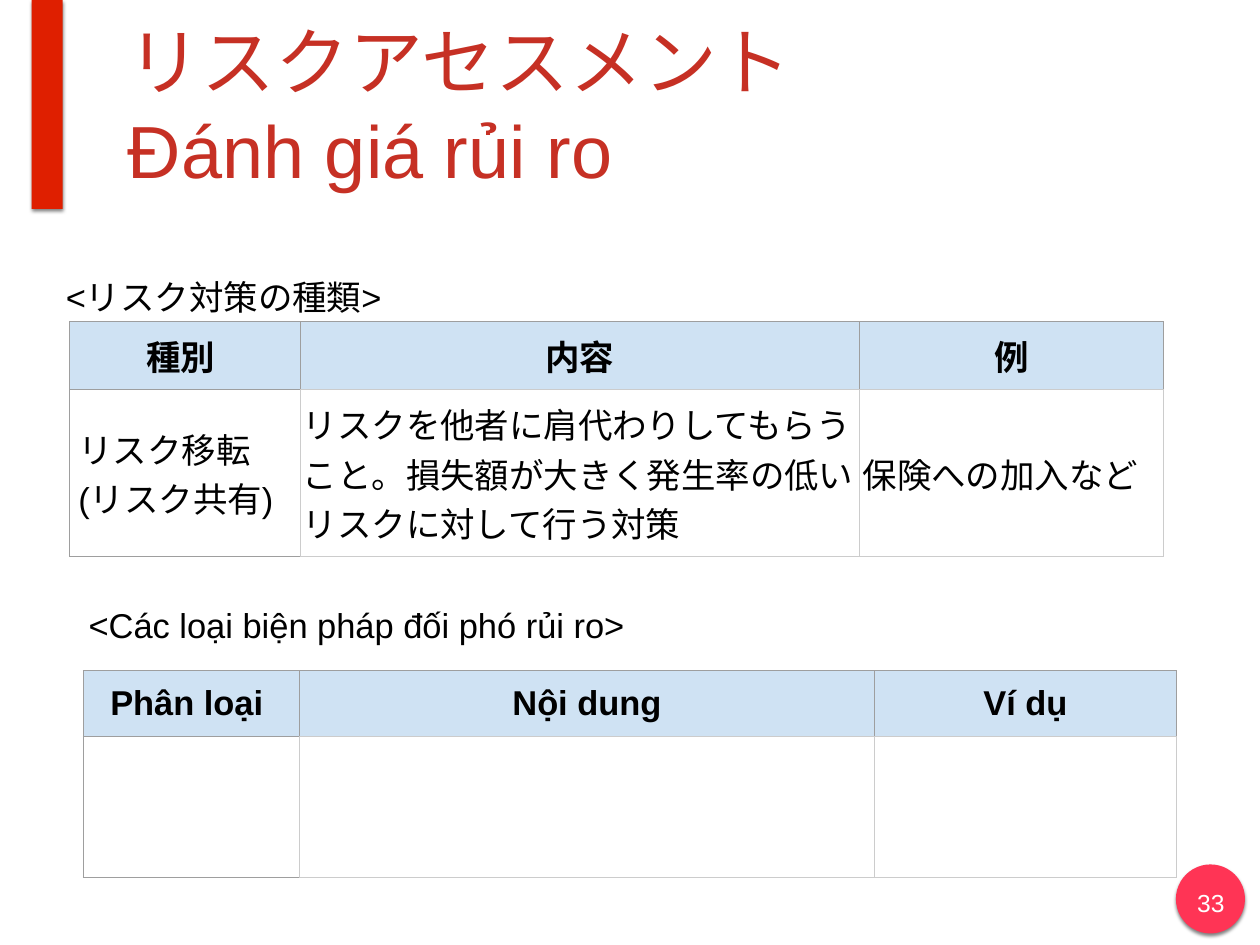
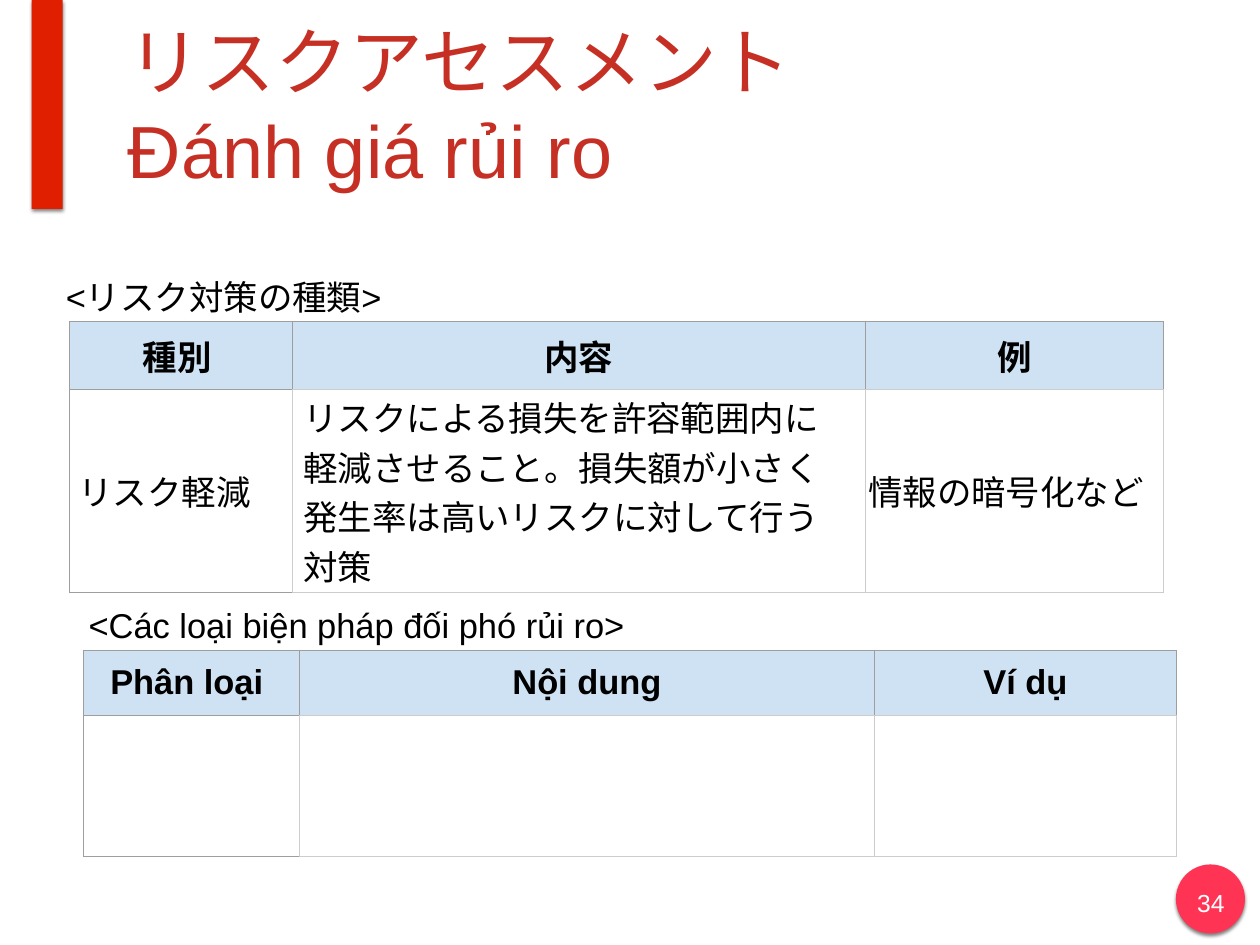
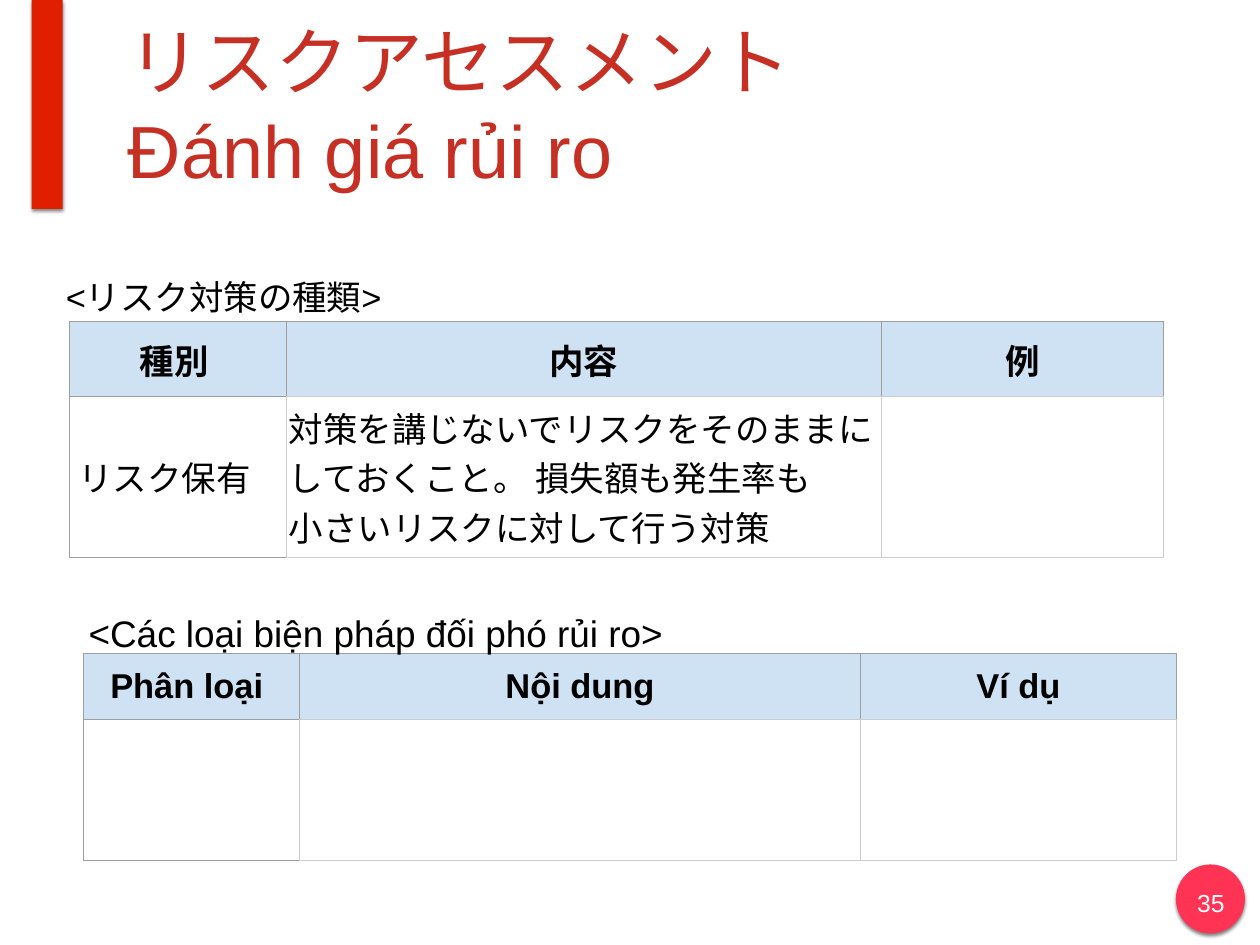
from dataclasses import dataclass
from typing import Any

from lxml.etree import SubElement
from pptx import Presentation
from pptx.dml.color import RGBColor
from pptx.enum.shapes import MSO_SHAPE
from pptx.enum.text import MSO_ANCHOR, PP_ALIGN
from pptx.oxml.ns import qn
from pptx.util import Cm, Pt


@dataclass(frozen=True)
class Theme:
    font: str = "Arial"
    kanji: str = "Noto Sans CJK JP"
    title: str = "C63024"
    band: str = "DF1F00"
    badge: str = "FF3455"
    head: str = "CFE2F3"
    dark: str = "9E9E9E"
    pale: str = "CCCCCC"
    ink: str = "000000"
    white: str = "FFFFFF"
    big: float = 60
    body: float = 28
    note: float = 30
    small: float = 20


@dataclass(frozen=True)
class Box:
    left: float
    top: float
    width: float
    height: float

    def cm(self) -> list[Cm]:
        return [Cm(n) for n in (self.left, self.top, self.width, self.height)]


@dataclass(frozen=True)
class Grid:
    left: float
    top: float
    cols: tuple[float, float]
    rows: tuple[float, float]
    heads: tuple[str, str, str]
    cells: tuple[str, str, str] = ("", "", "")
    indent: float = 0.08  # left margin of the middle body cell


THEME = Theme()


@dataclass(frozen=True)
class Page:
    number: int
    upper: Grid
    lower: Grid
    note_top: float = 16.99
    note_size: float = THEME.body


WIDE = 31.34
HEADS_JA = ("種別 ", "内容", "例")
HEADS_VI = ("Phân loại ", "Nội dung", "Ví dụ")
LOW_ROWS = (1.88, 4.04)
BAND = Box(0.91, 0, 0.89, 5.99)
BADGE = Box(33.71, 24.79, 1.98, 1.98)
TITLE = Box(3.52, 0.3, 30.84, 5.38)
NUMBER = Box(34.09, 25.32, 1.24, 0.99)

PAGES = (
    Page(33,
         Grid(2, 9.22, (6.6, 16.05), (1.95, 4.79), HEADS_JA,
              ("リスク移転\n(リスク共有)",
               "リスクを他者に肩代わりしてもらうこと。損失額が大きく発生率の低いリスクに対して行う対策",
               "保険への加入など")),
         Grid(2.39, 19.23, (6.2, 16.47), LOW_ROWS, HEADS_VI)),
    Page(34,
         Grid(2, 9.22, (6.38, 16.43), (1.95, 5.82), HEADS_JA,
              ("リスク軽減",
               "リスクによる損失を許容範囲内に\n軽減させること。損失額が小さく\n"
               "発生率は高いリスクに対して行う\n対策",
               "情報の暗号化など"), indent=0.32),
         Grid(2.39, 18.64, (6.2, 16.47), LOW_ROWS, HEADS_VI)),
    Page(35,
         Grid(2, 9.22, (6.2, 17.07), (2.16, 4.6), HEADS_JA,
              ("リスク保有",
               "対策を講じないでリスクをそのままにしておくこと。 損失額も発生率も\n"
               "小さいリスクに対して行う対策", "")),
         Grid(2.39, 18.75, (6.2, 16.07), LOW_ROWS, HEADS_VI),
         note_top=17.18, note_size=THEME.note),
)


def apply(item: Any, form: dict[str, Any]) -> None:
    for name, value in form.items():
        setattr(item, name, value)


def pads(left: float, right: float, top: float) -> dict[str, Cm]:
    return {"margin_left": Cm(left), "margin_right": Cm(right),
            "margin_top": Cm(top), "margin_bottom": Cm(top)}


def write(frame: Any, text: str, size: float, color: str, bold: bool = False,
          **form: Any) -> None:
    """Fill a frame, one paragraph a line; a vertical tab breaks a line."""
    frame.text = text
    for para in frame.paragraphs:
        apply(para, form)
        for run in para.runs:
            apply(run.font, {"name": THEME.font, "size": Pt(size), "bold": bold})
            run.font.color.rgb = RGBColor.from_string(color)
            kanji = SubElement(run.font._element, qn("a:ea"))
            kanji.set("typeface", THEME.kanji)


def add_text(slide: Any, box: Box, text: str, size: float, color: str,
             anchor: MSO_ANCHOR = MSO_ANCHOR.TOP, **form: Any) -> None:
    frame = slide.shapes.add_textbox(*box.cm()).text_frame
    apply(frame, {"word_wrap": True, "vertical_anchor": anchor,
                  **pads(0.15, 0.15, 0.15)})
    write(frame, text, size, color, **form)


def add_block(slide: Any, kind: MSO_SHAPE, box: Box, color: str) -> None:
    """Draw a plain filled shape with a soft shadow below it."""
    shape = slide.shapes.add_shape(kind, *box.cm())
    shape.fill.solid()
    shape.fill.fore_color.rgb = RGBColor.from_string(color)
    shape.line.fill.background()
    shape.shadow.inherit = False
    glow = SubElement(shape._element.spPr.find(qn("a:effectLst")), qn("a:outerShdw"),
                      blurRad=str(Pt(3)), dist=str(Pt(2)), dir="5400000",
                      rotWithShape="0")
    tint = SubElement(glow, qn("a:srgbClr"), val=THEME.ink)
    SubElement(tint, qn("a:alpha"), val="49000")


def add_edges(cell: Any, colors: tuple[str, ...]) -> None:
    """Set the left, right, top and bottom borders."""
    props = cell._tc.get_or_add_tcPr()
    for side, color in zip("LRTB", colors):
        width = Pt(0.75 if color == THEME.dark else 0.83)
        edge = SubElement(props, qn(f"a:ln{side}"), w=str(width))
        fill = SubElement(edge, qn("a:solidFill"))
        SubElement(fill, qn("a:srgbClr"), val=color)


def edges(row: int, col: int) -> tuple[str, ...]:
    dark, pale = THEME.dark, THEME.pale
    if row == 0:
        return (dark, dark, dark, pale if col else dark)
    return (pale,) * 4 if col else (dark, pale, dark, dark)


def space(grid: Grid, row: int, col: int) -> dict[str, Cm]:
    if row == 0:
        return pads(0.25, 0.25, 0.25)
    if col == 0:
        return pads(0.25, 0.45, 0.25)
    return pads(grid.indent if col == 1 else 0.08, 0.08, 0.05)


def add_grid(slide: Any, grid: Grid) -> None:
    box = Box(grid.left, grid.top, WIDE, sum(grid.rows))
    table = slide.shapes.add_table(2, 3, *box.cm()).table
    apply(table, {"first_row": False, "horz_banding": False})
    for col, width in enumerate((*grid.cols, WIDE - sum(grid.cols))):
        table.columns[col].width = Cm(width)
    for row, texts in enumerate((grid.heads, grid.cells)):
        table.rows[row].height = Cm(grid.rows[row])
        for col, text in enumerate(texts):
            cell = table.cell(row, col)
            add_edges(cell, edges(row, col))
            if row == 0:
                cell.fill.solid()
                cell.fill.fore_color.rgb = RGBColor.from_string(THEME.head)
            else:
                cell.fill.background()
            apply(cell, {"vertical_anchor": MSO_ANCHOR.MIDDLE,
                         **space(grid, row, col)})
            write(cell.text_frame, text, THEME.body, THEME.ink, bold=row == 0,
                  alignment=PP_ALIGN.LEFT if row else PP_ALIGN.CENTER)


def add_page(deck: Any, page: Page) -> None:
    slide = deck.slides.add_slide(deck.slide_layouts[6])
    # Shared frame: badge, band, title, number
    add_block(slide, MSO_SHAPE.OVAL, BADGE, THEME.badge)
    add_block(slide, MSO_SHAPE.RECTANGLE, BAND, THEME.band)
    add_text(slide, TITLE, "リスクアセスメント\vĐánh giá rủi ro", THEME.big,
             THEME.title, MSO_ANCHOR.MIDDLE)
    add_text(slide, NUMBER, str(page.number), THEME.small, THEME.white,
             alignment=PP_ALIGN.CENTER)
    # Tables and their captions
    add_grid(slide, page.upper)
    add_grid(slide, page.lower)
    add_text(slide, Box(1.74, 7.6, 33.7, 1.85), "<リスク対策の種類>",
             THEME.body, THEME.ink, line_spacing=1.15)
    add_text(slide, Box(2.39, page.note_top, 33.7, 1.85),
             "<Các loại biện pháp đối phó rủi ro>",
             page.note_size, THEME.ink, line_spacing=1.15)


def main() -> None:
    deck = Presentation()
    apply(deck, {"slide_width": Cm(36.12), "slide_height": Cm(27.1)})
    for page in PAGES:
        add_page(deck, page)
    deck.save("out.pptx")


if __name__ == "__main__":
    main()
